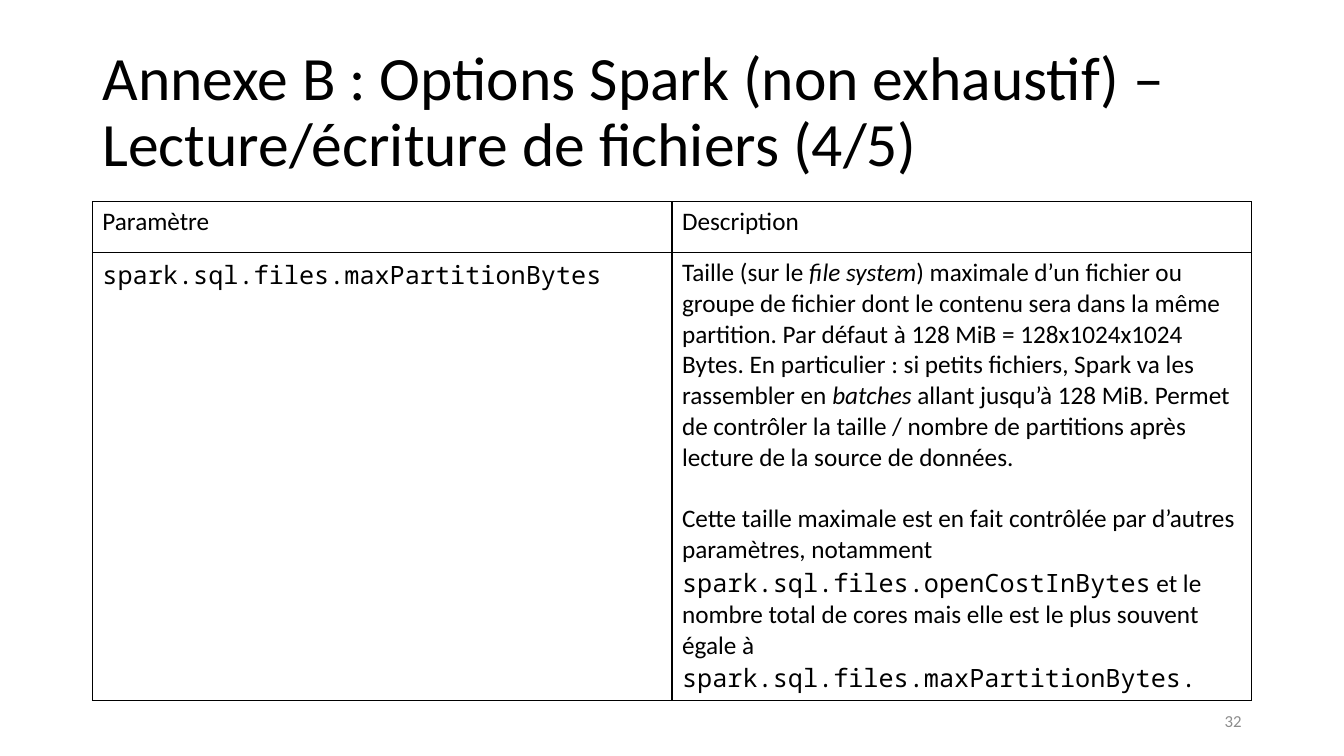
"""Build the appendix slide on Spark file reading and writing options."""
import pptx
import pptx.dml.color
import pptx.enum.text
import pptx.oxml
import pptx.oxml.ns
import pptx.util

Pt = pptx.util.Pt
Anchor = pptx.enum.text.MSO_ANCHOR
Align = pptx.enum.text.PP_ALIGN
HUES = {"ink": "000000", "page": "8C8C8C"}
SANS, MONO = "Calibri", "Noto Sans Mono"


def write(para, text, size=18, font=SANS, hue="ink", slant=False):
    run = para.add_run()
    run.text = text
    run.font.size = Pt(size)
    run.font.name = font
    run.font.bold = False
    run.font.italic = slant
    run.font.color.rgb = pptx.dml.color.RGBColor.from_string(HUES[hue])


def border(cell):
    props = cell._tc.get_or_add_tcPr()
    for side in ("lnL", "lnR", "lnT", "lnB"):
        props.append(pptx.oxml.parse_xml(
            f'<a:{side} {pptx.oxml.ns.nsdecls("a")} w="{Pt(1)}"><a:solidFill>'
            f'<a:srgbClr val="{HUES["ink"]}"/></a:solidFill></a:{side}>'))


deck = pptx.Presentation()
deck.slide_width, deck.slide_height = Pt(960), Pt(540)
slide = deck.slides.add_slide(deck.slide_layouts[5])

title = slide.shapes.title
title.left, title.top, title.width, title.height = Pt(66), Pt(28.75), Pt(828), Pt(104.4)
frame = title.text_frame
frame.word_wrap = True
frame.auto_size = pptx.enum.text.MSO_AUTO_SIZE.NONE
frame.vertical_anchor = Anchor.MIDDLE
para = frame.paragraphs[0]
para.alignment = Align.LEFT
para.line_spacing = 0.9
write(para, "Annexe B : Options Spark (non exhaustif) – Lecture/écriture de fichiers (4/5)", size=44)

mono, slant = {"font": MONO}, {"slant": True}
size_note = [
    ("Taille (sur le ", {}),
    ("file system", slant),
    (") maximale d’un fichier ou groupe de fichier dont le contenu sera dans la même "
     "partition. Par défaut à 128 MiB = 128x1024x1024 Bytes. En particulier : si petits "
     "fichiers, Spark va les rassembler en ", {}),
    ("batches", slant),
    (" allant jusqu’à 128 MiB. Permet de contrôler la taille / nombre de partitions après "
     "lecture de la source de données.", {}),
]
cost_note = [
    ("Cette taille maximale est en fait contrôlée par d’autres paramètres, notamment ", {}),
    ("spark.sql.files.openCostInBytes", mono),
    (" et le nombre total de cores mais elle est le plus souvent égale à ", {}),
    ("spark.sql.files.maxPartitionBytes.", mono),
]
rows = [
    [[[("Paramètre", {})]], [[("Description", {})]]],
    [[[("spark.sql.files.maxPartitionBytes", mono)]], [size_note, cost_note]],
]

table = slide.shapes.add_table(2, 2, Pt(66), Pt(144), Pt(828), Pt(332)).table
table.first_row = table.horz_banding = False
for row, height in zip(table.rows, (36.5, 295.5)):
    row.height = Pt(height)
for r, row in enumerate(rows):
    for c, paras in enumerate(row):
        cell = table.cell(r, c)
        border(cell)
        cell.fill.background()
        for n, runs in enumerate(paras):
            para = cell.text_frame.add_paragraph() if n else cell.text_frame.paragraphs[0]
            para.space_before = Pt(22 * n)
            for text, style in runs:
                write(para, text, **style)

page = slide.shapes.add_textbox(Pt(678), Pt(500.5), Pt(216), Pt(28.75)).text_frame
page.word_wrap = True
page.vertical_anchor = Anchor.MIDDLE
page.paragraphs[0].alignment = Align.RIGHT
write(page.paragraphs[0], "32", size=12, hue="page")

deck.save("out.pptx")
